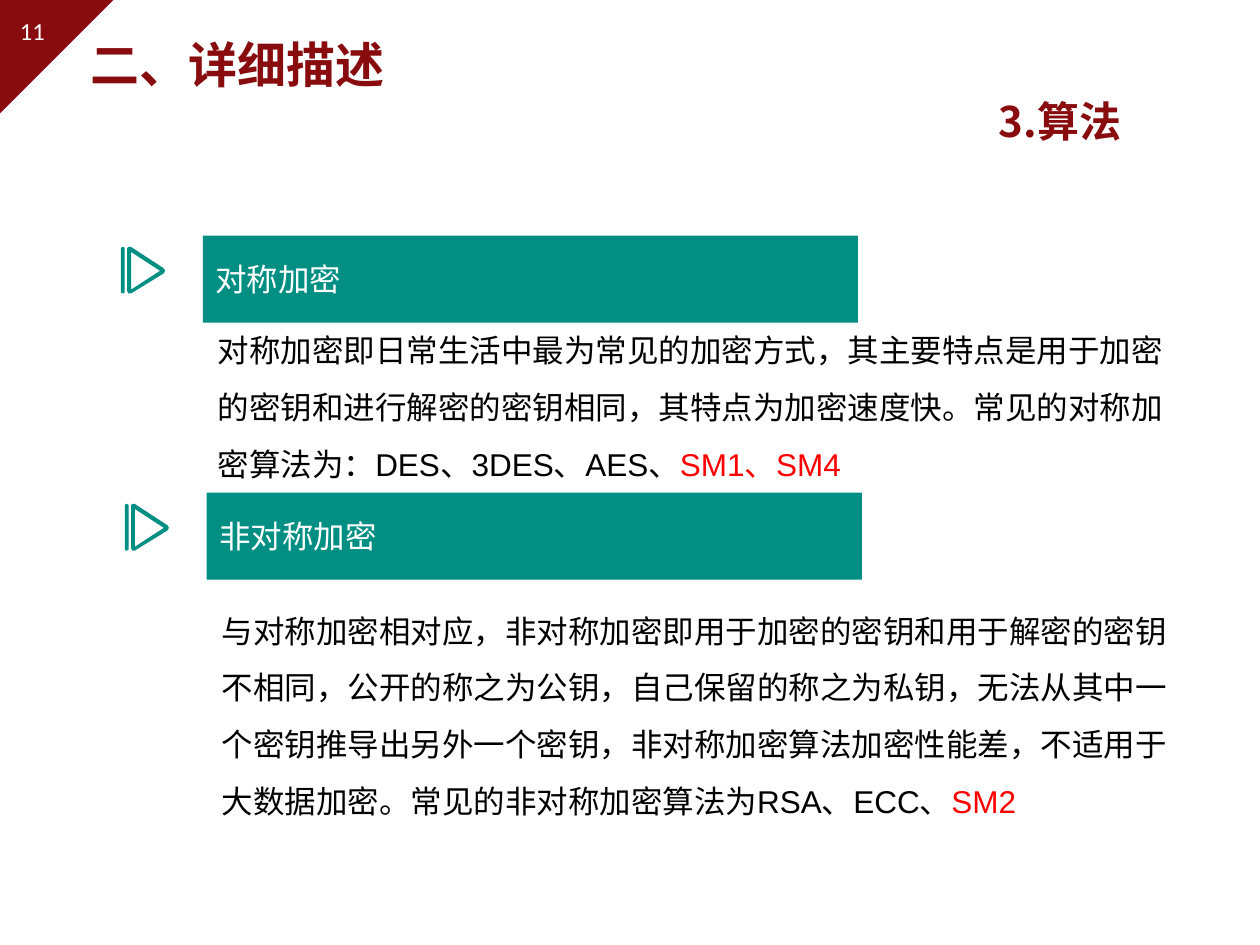
"""Build the slide on symmetric and asymmetric encryption algorithms."""
from lxml import etree
from pptx import Presentation
from pptx.dml.color import RGBColor
from pptx.enum.shapes import MSO_SHAPE
from pptx.enum.text import MSO_ANCHOR, MSO_AUTO_SIZE, PP_ALIGN
from pptx.oxml.ns import qn
from pptx.util import Inches, Pt

RECTANGLE = MSO_SHAPE.RECTANGLE
RIGHT_TRIANGLE = MSO_SHAPE.RIGHT_TRIANGLE
MIDDLE = MSO_ANCHOR.MIDDLE
LEFT = PP_ALIGN.LEFT
GROW = MSO_AUTO_SIZE.SHAPE_TO_FIT_TEXT

CJK_FONT = "Noto Sans CJK SC"
MAROON, TEAL, WHITE, BLACK, RED = "880C0E", "018F84", "FFFFFF", "000000", "FF0000"


def paint(shape, color):
    shape.shadow.inherit = False
    shape.fill.solid()
    shape.fill.fore_color.rgb = RGBColor.from_string(color)
    shape.line.fill.background()


def write(shape, spans, size, font, bold=False, spacing=1.0):
    frame = shape.text_frame
    frame.word_wrap = True
    para = frame.paragraphs[0]
    para.alignment = LEFT
    para.line_spacing = spacing
    for text, color in spans:
        span = para.add_run()
        span.text = text
        span.font.size = Pt(size)
        span.font.bold = bold
        span.font.color.rgb = RGBColor.from_string(color)
        span.font.name = font
        etree.SubElement(span.font._element, qn("a:ea"), typeface=CJK_FONT)


deck = Presentation()
deck.slide_width, deck.slide_height = Inches(10), Inches(7.5)
page = deck.slides.add_slide(deck.slide_layouts[5])
shapes = page.shapes

title = shapes.title
title.left, title.top = Inches(0.62), Inches(0.16)
title.width, title.height = Inches(6.48), Inches(0.7)
title.text_frame.vertical_anchor = MIDDLE
write(title, [("二、详细描述", MAROON)], 28, CJK_FONT, bold=True)

corner = shapes.add_shape(RIGHT_TRIANGLE, 0, 0, Inches(0.9), Inches(0.9))
corner._element.spPr.xfrm.set("flipV", "1")
paint(corner, MAROON)

number = shapes.add_textbox(Inches(0.06), Inches(0.08), Inches(2.33), Inches(0.31))
write(number, [("11", WHITE)], 14, "Calibri")

topic = shapes.add_textbox(Inches(7.83), Inches(0.71), Inches(1.22), Inches(0.5))
write(topic, [("3.算法", MAROON)], 24, CJK_FONT, bold=True)
topic.text_frame.auto_size = GROW

icon_outlines = [
    [(0.05, 0.03), (0.05, 0.35), (0.06, 0.37), (0.08, 0.37), (0.34, 0.21),
     (0.35, 0.19), (0.34, 0.17), (0.08, 0), (0.06, 0), (0.05, 0.01)],
    [(0.31, 0.19), (0.08, 0.34), (0.08, 0.04)],
    [(0, 0.01), (0.01, 0), (0.02, 0), (0.03, 0.01), (0.03, 0.36),
     (0.02, 0.37), (0.01, 0.37), (0, 0.36)],
]

sections = [
    (1.61, 1.87, "对称加密", 2.25, 1.81, [
        ("对称加密即日常生活中最为常见的加密方式，其主要特点是用于加密的密钥和进行解密的密钥相同，"
         "其特点为加密速度快。常见的对称加密算法为：DES、3DES、AES、", BLACK),
        ("SM1、SM4", RED)]),
    (1.64, 3.91, "非对称加密", 4.62, 1.97, [
        ("与对称加密相对应，非对称加密即用于加密的密钥和用于解密的密钥不相同，公开的称之为公钥，"
         "自己保留的称之为私钥，无法从其中一个密钥推导出另外一个密钥，非对称加密算法加密性能差，"
         "不适用于大数据加密。常见的非对称加密算法为RSA、ECC、", BLACK),
        ("SM2", RED)]),
]

for left, top, heading, body_top, body_height, spans in sections:
    body = shapes.add_textbox(Inches(left + 0.02), Inches(body_top),
                              Inches(7.78), Inches(body_height))
    body.text_frame.vertical_anchor = MIDDLE
    write(body, spans, 18, "Arial", spacing=1.5)

    bar = shapes.add_shape(RECTANGLE, Inches(left), Inches(top), Inches(5.2), Inches(0.69))
    paint(bar, TEAL)
    bar.text_frame.vertical_anchor = MIDDLE
    write(bar, [(heading, WHITE)], 18, "Calibri")

    builder = None
    for outline in icon_outlines:
        points = [(Inches(left - 0.65 + x), Inches(top + 0.09 + y)) for x, y in outline]
        if builder is None:
            builder = shapes.build_freeform(*points[0])
        else:
            builder.move_to(*points[0])
        builder.add_line_segments(points[1:], close=True)
    paint(builder.convert_to_shape(), TEAL)

deck.save("out.pptx")
